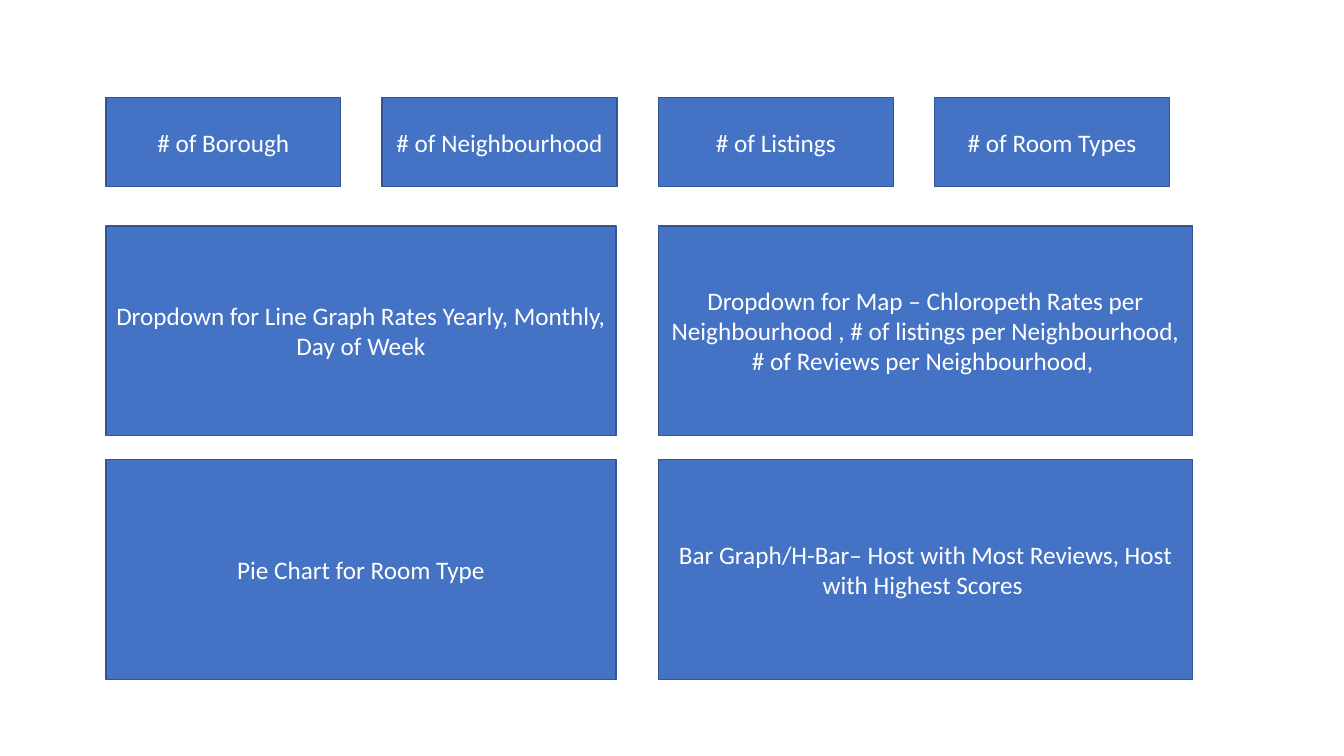
from pptx import Presentation
from pptx.dml.color import RGBColor
from pptx.enum.shapes import MSO_SHAPE
from pptx.enum.text import MSO_ANCHOR, PP_ALIGN
from pptx.util import Inches, Pt

BLUE = RGBColor(0x44, 0x72, 0xC4)
DARK_BLUE = RGBColor(0x32, 0x54, 0x91)
WHITE = RGBColor(0xFF, 0xFF, 0xFF)
FONT = "Calibri"

# Dashboard grid, in inches
LEFT = 1.05
COLUMN_STEP = 2.74
CARD_WIDTH = 2.33
CARD_ROW = (0.97, 0.88)  # top, height
PANEL_ROWS = [(2.24, 2.08), (4.56, 2.18)]
PANEL_COLUMNS = [(0, 5.06), (2, 5.3)]  # grid column, width

CARDS = ["# of Borough", "# of Neighbourhood", "# of Listings", "# of Room Types"]
PANELS = [
    ["Dropdown for Line Graph Rates Yearly, Monthly, Day of Week",
     "Dropdown for Map – Chloropeth Rates per Neighbourhood , "
     "# of listings per Neighbourhood, # of Reviews per Neighbourhood, "],
    ["Pie Chart for Room Type",
     "Bar Graph/H-Bar– Host with Most Reviews, Host with Highest Scores "],
]


def add_box(slide, column, width, row, text):
    """Add a labelled rectangle at a grid column and a (top, height) row."""
    top, height = row
    shape = slide.shapes.add_shape(
        MSO_SHAPE.RECTANGLE, Inches(LEFT + column * COLUMN_STEP),
        Inches(top), Inches(width), Inches(height))
    shape.shadow.inherit = False
    shape.fill.solid()
    shape.fill.fore_color.rgb = BLUE
    shape.line.color.rgb = DARK_BLUE
    shape.line.width = Pt(1)

    frame = shape.text_frame
    frame.word_wrap = True
    frame.vertical_anchor = MSO_ANCHOR.MIDDLE
    paragraph = frame.paragraphs[0]
    paragraph.alignment = PP_ALIGN.CENTER
    run = paragraph.add_run()
    run.text = text
    run.font.name = FONT
    run.font.size = Pt(18)
    run.font.color.rgb = WHITE


def main():
    presentation = Presentation()
    presentation.slide_width = Inches(13.33)
    presentation.slide_height = Inches(7.5)
    slide = presentation.slides.add_slide(presentation.slide_layouts[6])

    # Key figures
    for column, text in enumerate(CARDS):
        add_box(slide, column, CARD_WIDTH, CARD_ROW, text)

    # Graph panels
    for row, texts in zip(PANEL_ROWS, PANELS):
        for (column, width), text in zip(PANEL_COLUMNS, texts):
            add_box(slide, column, width, row, text)

    presentation.save("out.pptx")


main()
